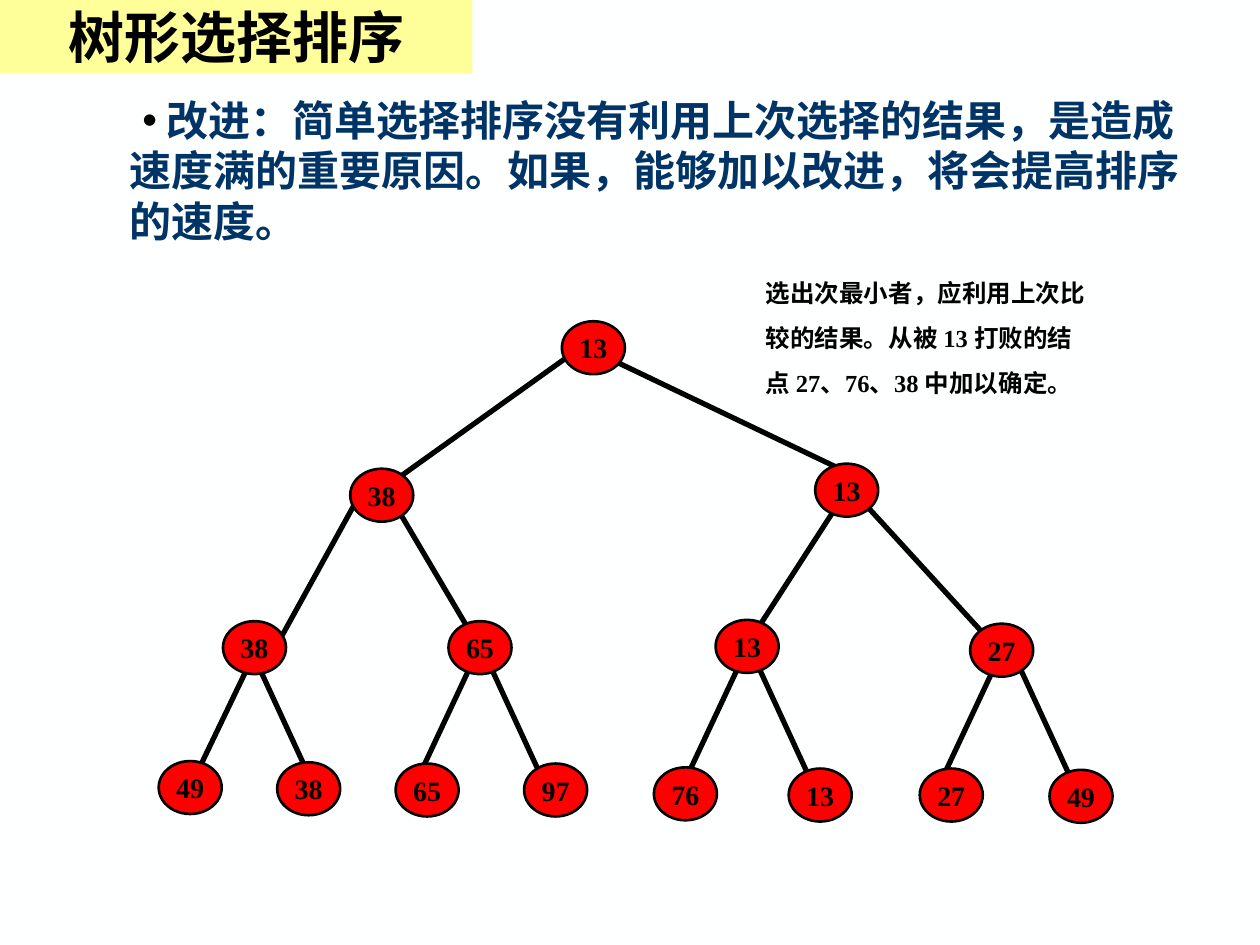
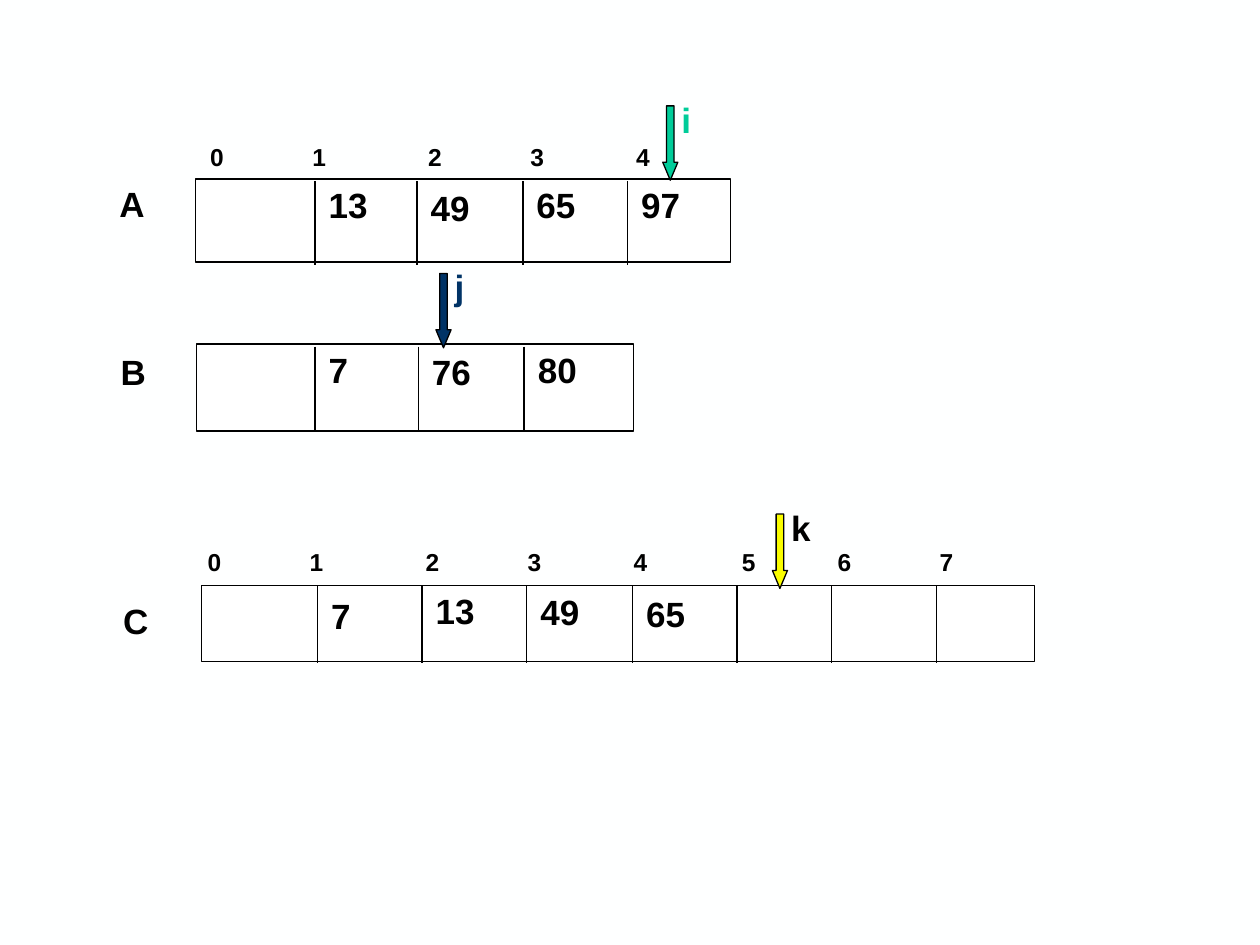
import dataclasses

import lxml.etree
import pptx
import pptx.dml.color
import pptx.enum.shapes
import pptx.enum.text
import pptx.oxml.ns
import pptx.util

Inches = pptx.util.Inches
Pt = pptx.util.Pt
RGB = pptx.dml.color.RGBColor.from_string
qn = pptx.oxml.ns.qn
SHAPE = pptx.enum.shapes.MSO_SHAPE
ANCHOR = pptx.enum.text.MSO_ANCHOR
CENTER = pptx.enum.text.PP_ALIGN.CENTER
LEFT = pptx.enum.text.PP_ALIGN.LEFT


@dataclasses.dataclass(frozen=True)
class Theme:
    paper: str = "FEFFFF"
    ink: str = "000000"
    band: str = "FFFF99"
    navy: str = "003366"
    node: str = "FF0000"
    cell: str = "FFFFFF"
    green: str = "00CC99"
    yellow: str = "FAFD00"
    serif: str = "Times New Roman"
    sans: str = "Arial"
    chinese: str = "Noto Sans CJK SC"
    title_size: int = 32
    body_size: int = 24
    value_size: int = 20
    node_size: int = 16
    small_size: int = 14
    thin: float = 0.75
    outline: float = 1.5
    branch: float = 3


theme = Theme()


def write(frame, lines, size, font, color=theme.ink, align=LEFT, anchor=ANCHOR.TOP,
          wrap=True, gap=0):
    """Fill a text frame with bold lines, one paragraph each."""
    frame.word_wrap = wrap
    frame.auto_size = pptx.enum.text.MSO_AUTO_SIZE.NONE
    frame.vertical_anchor = anchor
    for number, line in enumerate(lines):
        paragraph = frame.add_paragraph() if number else frame.paragraphs[0]
        paragraph.alignment = align
        paragraph.space_before = Pt(gap if number else 0)
        run = paragraph.add_run()
        run.text = line
        run.font.size = Pt(size)
        run.font.bold = True
        run.font.name = font
        run.font.color.rgb = RGB(color)
        lxml.etree.SubElement(run.font._element, qn("a:ea"), typeface=theme.chinese)


def draw_line(shapes, start, end, width):
    line = shapes.add_connector(pptx.enum.shapes.MSO_CONNECTOR.STRAIGHT,
                                *map(Inches, start + end))
    line.line.color.rgb = RGB(theme.ink)
    line.line.width = Pt(width)
    lxml.etree.SubElement(line._element.spPr, qn("a:effectLst"))


deck = pptx.Presentation()
deck.slide_width, deck.slide_height = Inches(10), Inches(7.5)
background = deck.slide_master.background.fill
background.solid()
background.fore_color.rgb = RGB(theme.paper)

# Slide 1: tournament tree
tree_slide = deck.slides.add_slide(deck.slide_layouts[1])
title, intro = tree_slide.placeholders
title.left, title.top, title.width, title.height = map(Inches, (0, 0, 3.75, 0.58))
title.fill.solid()
title.fill.fore_color.rgb = RGB(theme.band)
write(title.text_frame, ["树形选择排序"], theme.title_size, theme.serif,
      align=CENTER, anchor=ANCHOR.MIDDLE)

intro.left, intro.top, intro.width, intro.height = map(Inches, (0, 0.7, 9.75, 1.3))
intro_format = intro.text_frame.paragraphs[0]._p.get_or_add_pPr()
intro_format.set("marL", str(Inches(0.93)))
intro_format.set("indent", str(Inches(0.1)))
bullet_color = lxml.etree.SubElement(intro_format, qn("a:buClr"))
lxml.etree.SubElement(bullet_color, qn("a:srgbClr"), val=theme.ink)
lxml.etree.SubElement(intro_format, qn("a:buFont"), typeface=theme.sans)
lxml.etree.SubElement(intro_format, qn("a:buChar"), char="•")
write(intro.text_frame,
      [" 改进：简单选择排序没有利用上次选择的结果，是造成速度满的重要原因。"
       "如果，能够加以改进，将会提高排序的速度。"],
      theme.body_size, theme.chinese, theme.navy)

# Value, left, top, then the branch from the parent
nodes = [
    ("13", 4.46, 2.55, None, None),
    ("38", 2.78, 3.72, (4.62, 2.75), (2.97, 3.93)),
    ("13", 6.47, 3.68, (4.74, 2.8), (6.81, 3.79)),
    ("38", 1.77, 4.93, (2.92, 3.81), (2.12, 5.26)),
    ("65", 3.56, 4.93, (3.12, 3.98), (3.77, 5.08)),
    ("13", 5.68, 4.92, (6.71, 3.91), (5.89, 5.18)),
    ("27", 7.7, 4.95, (6.8, 3.93), (7.98, 5.22)),
    ("49", 1.26, 6.04, (2.07, 5.08), (1.46, 6.35)),
    ("38", 2.2, 6.05, (1.97, 5.11), (2.5, 6.26)),
    ("65", 3.14, 6.06, (3.85, 5.04), (3.25, 6.32)),
    ("97", 4.16, 6.06, (3.87, 5.24), (4.4, 6.39)),
    ("76", 5.19, 6.09, (5.96, 5.08), (5.36, 6.36)),
    ("13", 6.26, 6.1, (5.94, 5.12), (6.47, 6.27)),
    ("27", 7.3, 6.1, (7.97, 5.13), (7.37, 6.41)),
    ("49", 8.33, 6.11, (8.03, 5.16), (8.56, 6.31)),
]
for value, left, top, start, end in nodes[1:]:
    draw_line(tree_slide.shapes, start, end, theme.branch)
for value, left, top, start, end in nodes:
    node = tree_slide.shapes.add_shape(SHAPE.OVAL, *map(Inches, (left, top, 0.5, 0.42)))
    node.shadow.inherit = False
    node.fill.solid()
    node.fill.fore_color.rgb = RGB(theme.node)
    node.line.color.rgb = RGB(theme.ink)
    node.line.width = Pt(theme.outline)
    write(node.text_frame, [value], theme.node_size, theme.serif,
          align=CENTER, anchor=ANCHOR.MIDDLE, wrap=False)

remark = tree_slide.shapes.add_textbox(*map(Inches, (5.98, 2.16, 2.77, 1.28)))
write(remark.text_frame,
      ["选出次最小者，应利用上次比", "较的结果。从被 13 打败的结", "点 27、76、38 中加以确定。"],
      theme.small_size, theme.serif, gap=8.8)

# Slide 2: merging arrays A and B into C
merge_slide = deck.slides.add_slide(deck.slide_layouts[6])
labels = []  # container, text, left, top, width, colour

# Name, its place, box, first divider top, divider bottom, dividers, values with tops
arrays = [
    ("A", (0.85, 1.4), (1.55, 1.42, 4.25, 0.66), 1.44, 2.1, (2.5, 3.31, 4.15, 4.98),
     (("13", 1.41), ("49", 1.43), ("65", 1.41), ("97", 1.41))),
    ("B", (0.86, 2.73), (1.56, 2.73, 3.47, 0.69), 2.75, 3.41, (2.5, 3.32, 4.16),
     (("7", 2.72), ("76", 2.73), ("80", 2.72))),
    ("C", (0.88, 4.71), (1.6, 4.65, 6.61, 0.6), 4.65, 5.26,
     (2.52, 3.35, 4.18, 5.02, 5.85, 6.6, 7.43),
     (("7", 4.67), ("13", 4.63), ("49", 4.64), ("65", 4.65))),
]
for name, (name_left, name_top), box, top, bottom, dividers, values in arrays:
    row = merge_slide.shapes.add_shape(SHAPE.RECTANGLE, *map(Inches, box))
    row.shadow.inherit = False
    row.fill.solid()
    row.fill.fore_color.rgb = RGB(theme.cell)
    row.line.color.rgb = RGB(theme.ink)
    row.line.width = Pt(theme.thin)
    for x in dividers:
        draw_line(merge_slide.shapes, (x, top), (x, bottom), theme.thin)
    labels.append((merge_slide.shapes, name, name_left, name_top, 0.67, theme.ink))
    for x, (value, value_top) in zip(dividers, values):
        labels.append((merge_slide.shapes, value, x + 0.01, value_top, 0.67, theme.ink))

index_stops = (0.81, 1.73, 2.54, 3.38, 4.24, 5, 5.81)
for left, top, width, last in ((1.57, 1.08, 4.25, 4), (1.55, 4.29, 6.66, 7)):
    indices = merge_slide.shapes.add_textbox(*map(Inches, (left, top, width, 0.34)))
    index_format = indices.text_frame.paragraphs[0]._p.get_or_add_pPr()
    tab_list = lxml.etree.SubElement(index_format, qn("a:tabLst"))
    for stop in index_stops[:last]:
        lxml.etree.SubElement(tab_list, qn("a:tab"), pos=str(Inches(stop)), algn="l")
    write(indices.text_frame, ["\t".join(map(str, range(last + 1)))],
          theme.small_size, theme.sans)

pointers = [
    ("i", 5.26, 0.84, theme.green, theme.green),
    ("j", 3.46, 2.17, theme.navy, theme.navy),
    ("k", 6.13, 4.08, theme.yellow, theme.ink),
]
for name, left, top, fill, color in pointers:
    pointer = merge_slide.shapes.add_group_shape()
    arrow = pointer.shapes.add_shape(SHAPE.DOWN_ARROW, *map(Inches, (left, top, 0.12, 0.59)))
    arrow.adjustments[0], arrow.adjustments[1] = 0.5, 1.19
    arrow.shadow.inherit = False
    arrow.fill.solid()
    arrow.fill.fore_color.rgb = RGB(fill)
    arrow.line.color.rgb = RGB(theme.ink)
    arrow.line.width = Pt(theme.thin)
    labels.append((pointer.shapes, name, left + 0.05, top - 0.11, 0.53, color))

for container, text, left, top, width, color in labels:
    label = container.add_textbox(*map(Inches, (left, top, width, 0.44)))
    write(label.text_frame, [text], theme.value_size, theme.sans, color)

deck.save("out.pptx")
